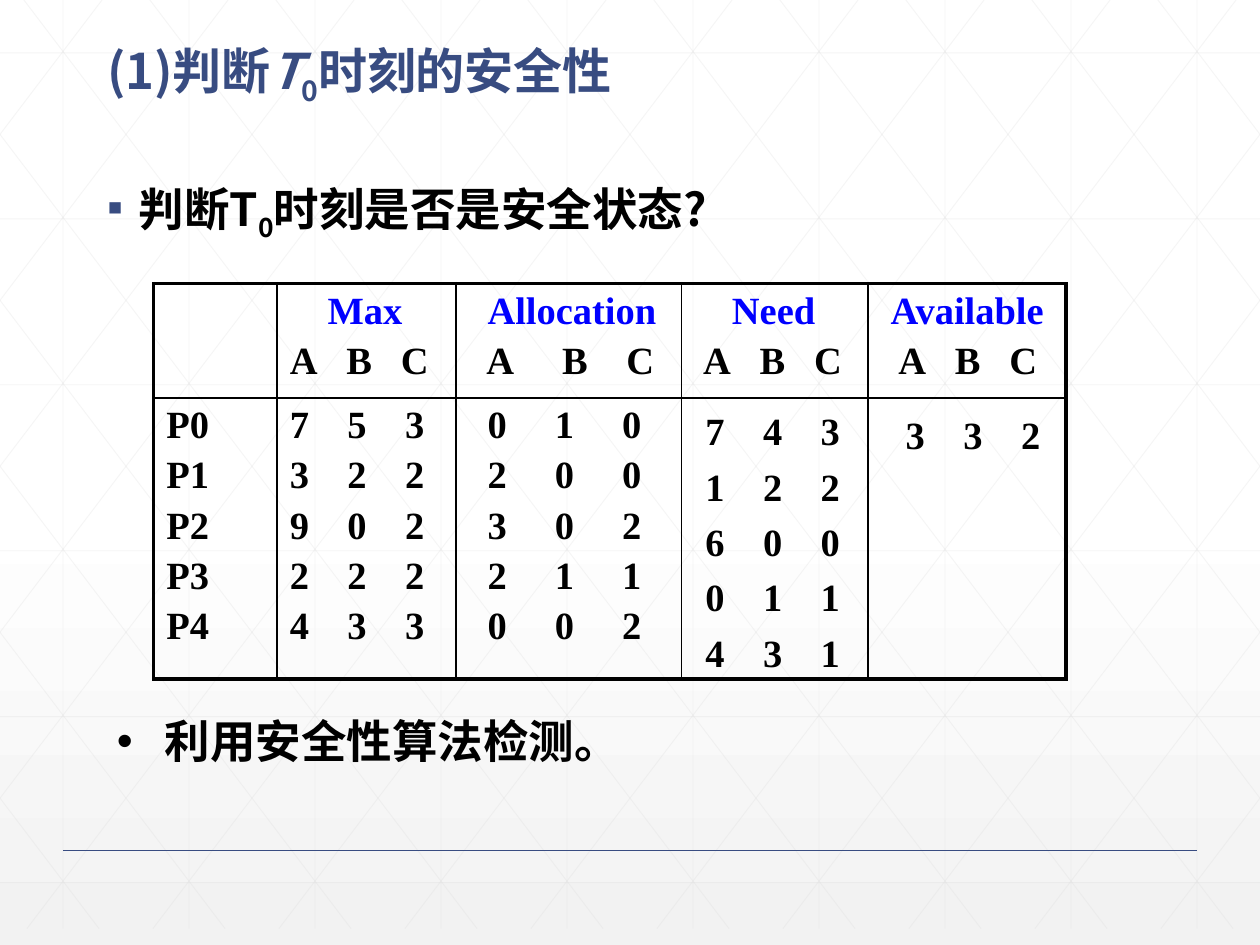
from dataclasses import dataclass
from typing import Sequence

from lxml import etree
from pptx import Presentation
from pptx import util as u
from pptx.dml.color import RGBColor
from pptx.enum import shapes, text
from pptx.oxml.ns import qn

COLORS = {"navy": "384C81", "black": "000000", "blue": "0000FF",
          "grid": "D9D9D9", "white": "FFFFFF", "mist": "F2F2F2"}
SANS, SERIF = "Noto Sans CJK SC", "Times New Roman"
GRID_BOTTOM, GRID_SLOPE = 7.37, 1.317
SPACE_WIDTH = 5.5
ROW_GAP = 4.4


@dataclass
class Run:
    text: str
    italic: bool = False
    baseline: int = 0
    spacing: float = 0


@dataclass
class Resource:
    name: str
    width: float
    name_indent: float
    letter_indent: float
    letter_gaps: tuple = (3, 3)
    digit_indent: float = 0
    digit_gaps: tuple = (4, 4)
    counts: tuple = ()


RESOURCES = [
    Resource("Max", 1.42, 0.3, 0, counts=("753", "322", "902", "222", "433")),
    Resource("Allocation", 1.79, 0.15, 0.14, (5, 4), 0.15, (5, 5),
             ("010", "200", "302", "211", "002")),
    Resource("Need", 1.48, 0.3, 0.07),
    Resource("Available", 1.57, 0.08, 0.14),
]


def rgb(color: str) -> RGBColor:
    return RGBColor.from_string(COLORS[color])


def child(parent, tag: str, **attributes):
    return etree.SubElement(parent, qn(tag), attributes)


def write(paragraph, runs: Sequence[Run], *, size: float = 22, font: str = SERIF,
          color: str = "black", indent: float = 0, hanging: float = 0,
          line: float = 1.0, before: float = 0, bullet: str = "",
          bullet_color: str = "black") -> None:
    """Fill a paragraph with bold runs in the given format."""
    paragraph.alignment = text.PP_ALIGN.LEFT
    paragraph.line_spacing = line
    paragraph.space_before = u.Pt(before)
    properties = paragraph._p.get_or_add_pPr()
    properties.set("marL", str(u.Inches(indent)))
    properties.set("indent", str(u.Inches(-hanging)))
    if bullet:
        child(child(properties, "a:buClr"), "a:srgbClr", val=COLORS[bullet_color])
        child(properties, "a:buFont", typeface="Arial")
        child(properties, "a:buChar", char=bullet)
    for part in runs:
        run = paragraph.add_run()
        run.text = part.text
        run.font.size, run.font.bold, run.font.italic = u.Pt(size), True, part.italic
        run.font.color.rgb = rgb(color)
        run.font.name = font
        marks = run.font._element
        child(marks, "a:ea", typeface=SANS)
        if part.baseline:
            marks.set("baseline", str(part.baseline * 1000))
        if part.spacing:
            marks.set("spc", str(round(part.spacing * 100)))


def write_columns(paragraph, symbols: str, gaps: Sequence[int] = (4, 4), **form) -> None:
    """Set symbols apart by single spaces widened to the given multiples."""
    runs = [Run(symbols[0])]
    for symbol, gap in zip(symbols[1:], gaps):
        runs += [Run(" ", spacing=(gap - 1) * SPACE_WIDTH), Run(symbol)]
    write(paragraph, runs, **form)


def paragraphs(frame, count: int) -> list:
    return [frame.paragraphs[0]] + [frame.add_paragraph() for _ in range(count - 1)]


def place(shape, left: float, top: float, width: float, height: float):
    """Position a text shape and return its top-anchored frame."""
    shape.left, shape.top = u.Inches(left), u.Inches(top)
    shape.width, shape.height = u.Inches(width), u.Inches(height)
    frame = shape.text_frame
    frame.word_wrap, frame.auto_size = True, text.MSO_AUTO_SIZE.NONE
    frame.vertical_anchor = text.MSO_ANCHOR.TOP
    return frame


def draw_line(owner, start: tuple, end: tuple, color: str, width: float,
              opacity: int = 100) -> None:
    points = [u.Inches(value) for value in (*start, *end)]
    connector = owner.add_connector(shapes.MSO_CONNECTOR.STRAIGHT, *points)
    connector.line.color.rgb = rgb(color)
    connector.line.width = u.Pt(width)
    properties = connector._element.spPr
    if opacity < 100:
        shade = next(properties.iter(qn("a:srgbClr")))
        child(shade, "a:alpha", val=str(opacity * 1000))
    child(properties, "a:effectLst")


def draw_grid(slide) -> None:
    """Draw the faint lattice of lines behind everything else."""
    lattice = slide.shapes.add_group_shape()
    slide.shapes._spTree.insert(2, lattice._element)
    ends = [((0.5 + i, 0), (0.5 + i, GRID_BOTTOM)) for i in range(10)]
    ends += [((0, 0.42 + GRID_SLOPE * i), (10, 0.42 + GRID_SLOPE * i)) for i in range(6)]
    for i in range(-5, 10):
        origin = 0.19 + i
        left, right = max(0, origin), min(10, origin + GRID_BOTTOM / GRID_SLOPE)
        top, bottom = ((x - origin) * GRID_SLOPE for x in (left, right))
        ends += [((left, top), (right, bottom)), ((10 - left, top), (10 - right, bottom))]
    for start, end in ends:
        draw_line(lattice.shapes, start, end, "grid", 0.5, 25)


def set_borders(cell, outer_sides: str) -> None:
    """Rule all four sides, heavier on the outer ones."""
    properties = cell._tc.get_or_add_tcPr()
    for index, side in enumerate("LRTB"):
        width = u.Pt(2.25 if side in outer_sides else 1)
        border = etree.Element(qn(f"a:ln{side}"), w=str(width))
        child(child(border, "a:solidFill"), "a:srgbClr", val=COLORS["black"])
        properties.insert(index, border)


def draw_allocation_table(slide) -> None:
    widths = [0.98] + [resource.width for resource in RESOURCES]
    frame = slide.shapes.add_table(2, len(widths), u.Inches(1.22), u.Inches(2.25),
                                   u.Inches(sum(widths)), u.Inches(3.13))
    table = frame.table
    table.first_row = table.horz_banding = False
    for column, width in zip(table.columns, widths):
        column.width = u.Inches(width)
    for row, height in zip(table.rows, (0.91, 2.23)):
        row.height = u.Inches(height)
    for r in range(2):
        for c in range(len(widths)):
            cell = table.cell(r, c)
            cell.fill.background()
            set_borders(cell, "TB"[r] + {0: "L", len(widths) - 1: "R"}.get(c, ""))
    processes = paragraphs(table.cell(1, 0).text_frame, 5)
    for number, paragraph in enumerate(processes):
        write(paragraph, [Run(f"P{number}")], before=ROW_GAP)
    for c, resource in enumerate(RESOURCES, 1):
        name, letters = paragraphs(table.cell(0, c).text_frame, 2)
        write(name, [Run(resource.name)], color="blue", indent=resource.name_indent)
        write_columns(letters, "ABC", resource.letter_gaps,
                      indent=resource.letter_indent, before=ROW_GAP)
        if resource.counts:
            rows = paragraphs(table.cell(1, c).text_frame, len(resource.counts))
            for paragraph, counts in zip(rows, resource.counts):
                write_columns(paragraph, counts, resource.digit_gaps,
                              indent=resource.digit_indent, before=ROW_GAP)


def draw_counts(slide, left: float, top: float, height: float, rows: Sequence[str],
                line: float = 1.0) -> None:
    frame = place(slide.shapes.add_textbox(0, 0, 0, 0), left, top, 1.27, height)
    frame.margin_right = 0
    for paragraph, counts in zip(paragraphs(frame, len(rows)), rows):
        write_columns(paragraph, counts, line=line)


def main() -> None:
    deck = Presentation()
    deck.slide_width, deck.slide_height = u.Inches(10), u.Inches(7.5)
    slide = deck.slides.add_slide(deck.slide_layouts[1])
    backdrop = slide.background.fill
    backdrop.gradient()
    backdrop.gradient_angle = 270
    for stop, color, position in zip(backdrop.gradient_stops, ("white", "mist"), (0.53, 1)):
        stop.color.rgb, stop.position = rgb(color), position

    draw_grid(slide)
    draw_line(slide.shapes, (0.5, 6.75), (9.5, 6.75), "navy", 1)
    title = place(slide.shapes.title, 0.75, 0.28, 8.5, 1.25)
    write(title.paragraphs[0],
          [Run("(1)判断"), Run("T", italic=True), Run("0", baseline=-25), Run("时刻的安全性")],
          size=28, font=SANS, color="navy", line=0.9)
    question = place(slide.placeholders[1], 0.75, 1.39, 8.5, 0.46)
    write(question.paragraphs[0],
          [Run("判断T"), Run("0", baseline=-25), Run("时刻是否是安全状态?")],
          size=26, font=SANS, indent=0.25, hanging=0.25, line=0.9, before=18,
          bullet="▪", bullet_color="navy")
    draw_allocation_table(slide)
    draw_counts(slide, 7.09, 3.21, 0.47, ["332"])
    draw_counts(slide, 5.5, 3.11, 2.3, ["743", "122", "600", "011", "431"], line=1.2)
    method = place(slide.shapes.add_textbox(0, 0, 0, 0), 0.83, 5.61, 6.08, 0.58)
    write(method.paragraphs[0], [Run("利用安全性算法检测。")], size=26,
          indent=0.38, hanging=0.38, bullet="•")
    deck.save("out.pptx")


if __name__ == "__main__":
    main()
